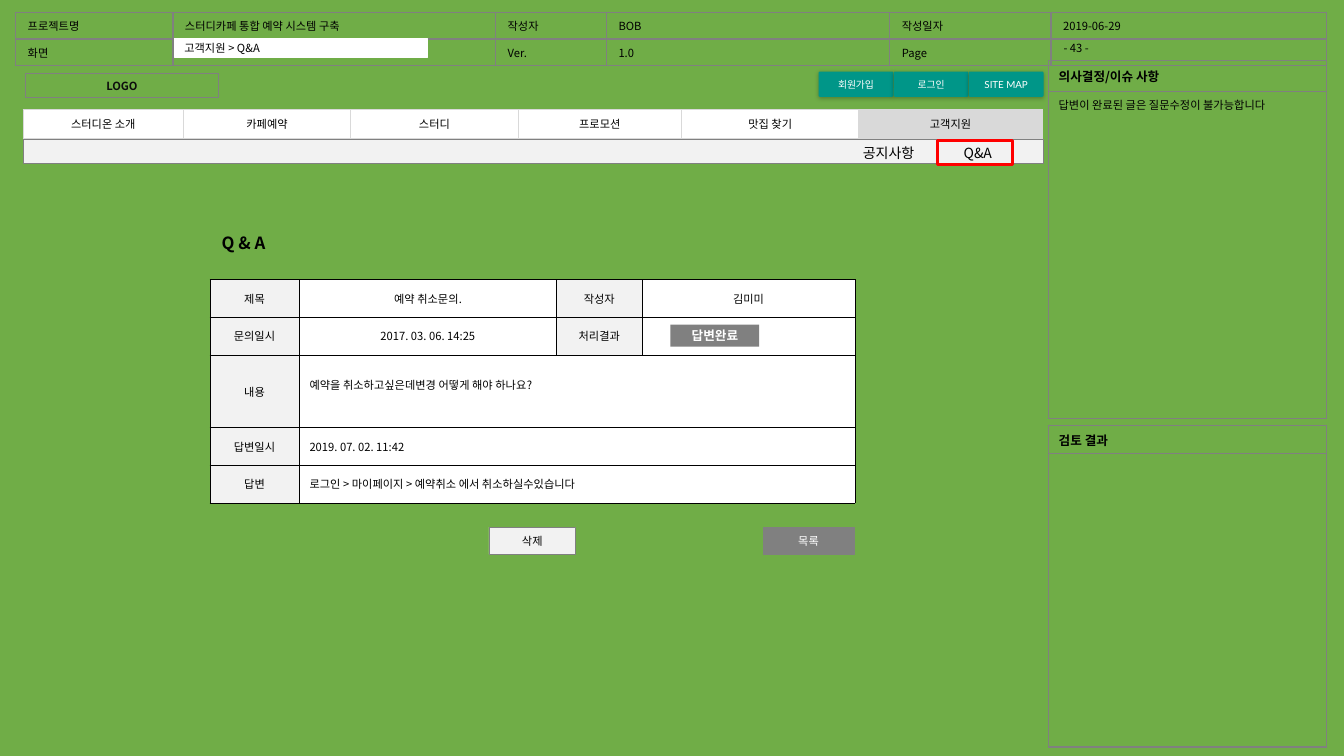
from lxml import etree
from pptx import Presentation
from pptx.dml.color import RGBColor
from pptx.enum.shapes import MSO_SHAPE
from pptx.enum.text import MSO_ANCHOR, PP_ALIGN
from pptx.oxml.ns import qn
from pptx.util import Inches, Pt

RECT, ROUNDED = MSO_SHAPE.RECTANGLE, MSO_SHAPE.ROUNDED_RECTANGLE
LEFT, CENTER = PP_ALIGN.LEFT, PP_ALIGN.CENTER
TOP, MIDDLE = MSO_ANCHOR.TOP, MSO_ANCHOR.MIDDLE
KOREAN, LATIN = "Noto Sans CJK KR", "Lato"
COLORS = {
    "green": "70AD47", "teal": "009688", "grey": "808080", "silver": "D9D9D9",
    "mist": "F2F2F2", "white": "FFFFFF", "black": "000000", "ink": "0D0D0D",
    "red": "FF0000",
}
UNIT = 0.1


def grid(*steps):
    """Turn grid columns and rows into slide lengths."""
    return [Inches(step * UNIT) for step in steps]


def rgb(color):
    """Look up a named colour."""
    return RGBColor.from_string(COLORS[color])


def write(frame, text, size=8, color="black", bold=False, align=LEFT, font=KOREAN):
    """Write one formatted paragraph into a text frame."""
    paragraph = frame.paragraphs[0]
    paragraph.alignment = align
    if not text:
        etree.SubElement(paragraph._p, qn("a:endParaRPr"), sz=str(size * 100))
        return
    run = paragraph.add_run()
    run.text = text
    run.font.size, run.font.bold, run.font.name = Pt(size), bold, font
    run.font.color.rgb = rgb(color)
    etree.SubElement(run._r.get_or_add_rPr(), qn("a:ea"), typeface=font)


def block(slide, place, text="", fill=None, line=None, width=0.25, kind=RECT,
          align=CENTER, **style):
    """Draw a box with an optional fill, outline and label."""
    box = slide.shapes.add_shape(kind, *grid(*place))
    box.shadow.inherit = False
    if fill:
        box.fill.solid()
        box.fill.fore_color.rgb = rgb(fill)
    else:
        box.fill.background()
    if line:
        box.line.color.rgb = rgb(line)
        box.line.width = Pt(width)
    else:
        box.line.fill.background()
    box.text_frame.vertical_anchor = MIDDLE
    if text:
        write(box.text_frame, text, align=align, **style)
    return box


def label(slide, place, text, wrap=False, **style):
    """Place free text."""
    frame = slide.shapes.add_textbox(*grid(*place)).text_frame
    frame.word_wrap = wrap
    write(frame, text, **style)


def teal_button(slide, place, text):
    """Draw a rounded button with a soft shadow."""
    button = block(slide, place, text, fill="teal", kind=ROUNDED, size=7,
                   color="white", font=LATIN)
    button.adjustments[0] = 0.05
    effects = button._element.spPr.find(qn("a:effectLst"))
    shadow = etree.SubElement(effects, qn("a:outerShdw"), blurRad=str(Pt(3)),
                              dist=str(Pt(1)), dir="5400000", rotWithShape="0")
    tint = etree.SubElement(shadow, qn("a:srgbClr"), val=COLORS["black"])
    etree.SubElement(tint, qn("a:alpha"), val="25000")


def add_borders(cell, color, width):
    """Outline the four sides of a cell."""
    properties = cell._tc.get_or_add_tcPr()
    for side in ("lnL", "lnR", "lnT", "lnB"):
        edge = etree.SubElement(properties, qn(f"a:{side}"), w=str(Pt(width)))
        paint = etree.SubElement(edge, qn("a:solidFill"))
        etree.SubElement(paint, qn("a:srgbClr"), val=COLORS[color])


def fill_cell(cell, text, fill=None, anchor=MIDDLE, inset=1, border="grey",
              width=1, **style):
    """Set the border, fill and text of a cell."""
    add_borders(cell, border, width)
    if fill:
        cell.fill.solid()
        cell.fill.fore_color.rgb = rgb(fill)
    else:
        cell.fill.background()
    cell.vertical_anchor = anchor
    cell.margin_left, cell.margin_right = grid(inset, inset)
    cell.margin_top, cell.margin_bottom = grid(0.5, 0.5)
    write(cell.text_frame, text, **style)


def new_table(slide, left, top, columns, rows):
    """Add an unbanded table with the given column and row steps."""
    place = grid(left, top, sum(columns), sum(rows))
    table = slide.shapes.add_table(len(rows), len(columns), *place).table
    table.first_row = table.horz_banding = False
    for column, width in zip(table.columns, grid(*columns)):
        column.width = width
    for row, height in zip(table.rows, grid(*rows)):
        row.height = height
    return table


def project_header(slide):
    """Build the project information strip."""
    details = [
        ["프로젝트명", "스터디카페 통합 예약 시스템 구축", "작성자", "BOB",
         "작성일자", "2019-06-29"],
        ["화면", "", "Ver.", "1.0", "Page", ""],
    ]
    table = new_table(slide, 1.55, 1.25, [15.6, 32, 11, 28.1, 16, 27.3], [2.4, 2.4])
    for r, texts in enumerate(details):
        for c, text in enumerate(texts):
            fill_cell(table.cell(r, c), text, anchor=TOP, inset=1.2)
    label(slide, (104.5, 3.6, 10.7, 2.4), "- 43 -", wrap=True)


def site_menu(slide):
    """Build the account buttons and the main menu."""
    for i, text in enumerate(["회원가입", "로그인", "SITE MAP"]):
        teal_button(slide, (81.2 + 7.45 * i, 7.1, 7.4, 2.5), text)
    menu = ["스터디온 소개", "카페예약", "스터디", "프로모션", "맛집 찾기", "고객지원"]
    table = new_table(slide, 2.3, 10.9, [15.9, 16.6, 16.6, 16.2, 17.6, 18.2], [2.8])
    for c, text in enumerate(menu):
        fill_cell(table.cell(0, c), text, inset=1.2, border="silver", align=CENTER,
                  fill="silver" if text == "고객지원" else "white")
    block(slide, (2.5, 7.3, 19.2, 2.4), "LOGO", line="grey", width=0.75,
          color="ink", bold=True)


def question_table(slide):
    """Build the question and answer record."""
    records = [
        ["제목", "예약 취소문의.", "작성자", "김미미"],
        ["문의일시", "2017. 03. 06. 14:25", "처리결과", ""],
        ["내용", "예약을 취소하고싶은데변경 어떻게 해야 하나요?"],
        ["답변일시", "2019. 07. 02. 11:42"],
        ["답변", "로그인 > 마이페이지 > 예약취소 에서 취소하실수있습니다"],
    ]
    table = new_table(slide, 20.8, 27.7, [8.9, 25.5, 8.5, 21.1],
                      [3.75, 3.75, 7.2, 3.75, 3.75])
    for r, texts in enumerate(records):
        wide = len(texts) == 2
        for c, text in enumerate(texts + [""] * (4 - len(texts))):
            fill_cell(table.cell(r, c), text, border="black", width=0.25,
                      fill="white" if c % 2 else "mist",
                      align=LEFT if wide and c else CENTER)
        if wide:
            table.cell(r, 1).merge(table.cell(r, 3))
    content = table.cell(2, 1)
    content.vertical_anchor = TOP
    content.margin_top = grid(2.1)[0]


def side_panel(slide, top, rows, title, body):
    """Build a titled note panel on the right."""
    table = new_table(slide, 104, top, [27.6], rows)
    fill_cell(table.cell(0, 0), title, size=9, bold=True)
    fill_cell(table.cell(1, 0), body, anchor=TOP)


def main():
    """Build the slide and save it."""
    deck = Presentation()
    deck.slide_width, deck.slide_height = Inches(13.33), Inches(7.5)
    slide = deck.slides.add_slide(deck.slide_layouts[6])
    slide.background.fill.solid()
    slide.background.fill.fore_color.rgb = rgb("green")

    project_header(slide)
    site_menu(slide)
    question_table(slide)
    block(slide, (66.5, 32.2, 8.8, 2.2), "답변완료", fill="grey", size=9,
          color="white", bold=True)
    block(slide, (75.7, 52.3, 9, 2.7), "목록", fill="grey", line="grey", color="white")
    block(slide, (48.5, 52.3, 8.6, 2.7), "삭제", fill="mist", line="grey")
    label(slide, (21, 22.6, 7.2, 3), "Q & A", size=12, bold=True)
    side_panel(slide, 6, [3.1, 32.4], "의사결정/이슈 사항",
               "답변이 완료된 글은 질문수정이 불가능합니다")
    side_panel(slide, 42.2, [2.8, 29.1], "검토 결과", "")
    block(slide, (17.3, 3.8, 25.1, 1.9), "고객지원 > Q&A", fill="white",
          line="white", width=1, align=LEFT)
    block(slide, (2.3, 13.8, 101.2, 2.4), fill="mist", line="grey", width=0.5)
    label(slide, (84.6, 13.8, 15.3, 2.7), "공지사항\tQ&A", size=10)
    block(slide, (93, 13.9, 7.4, 2.4), line="red", width=2.25)
    deck.save("out.pptx")


if __name__ == "__main__":
    main()
